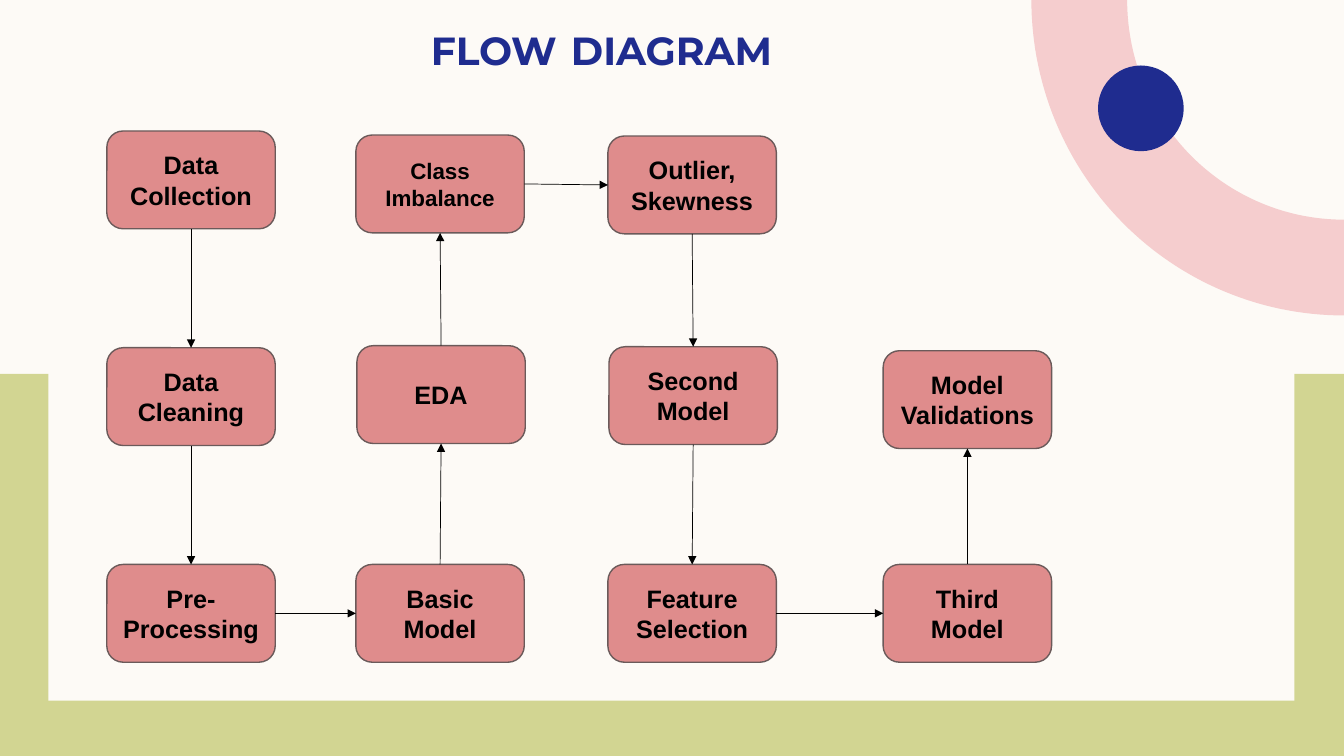
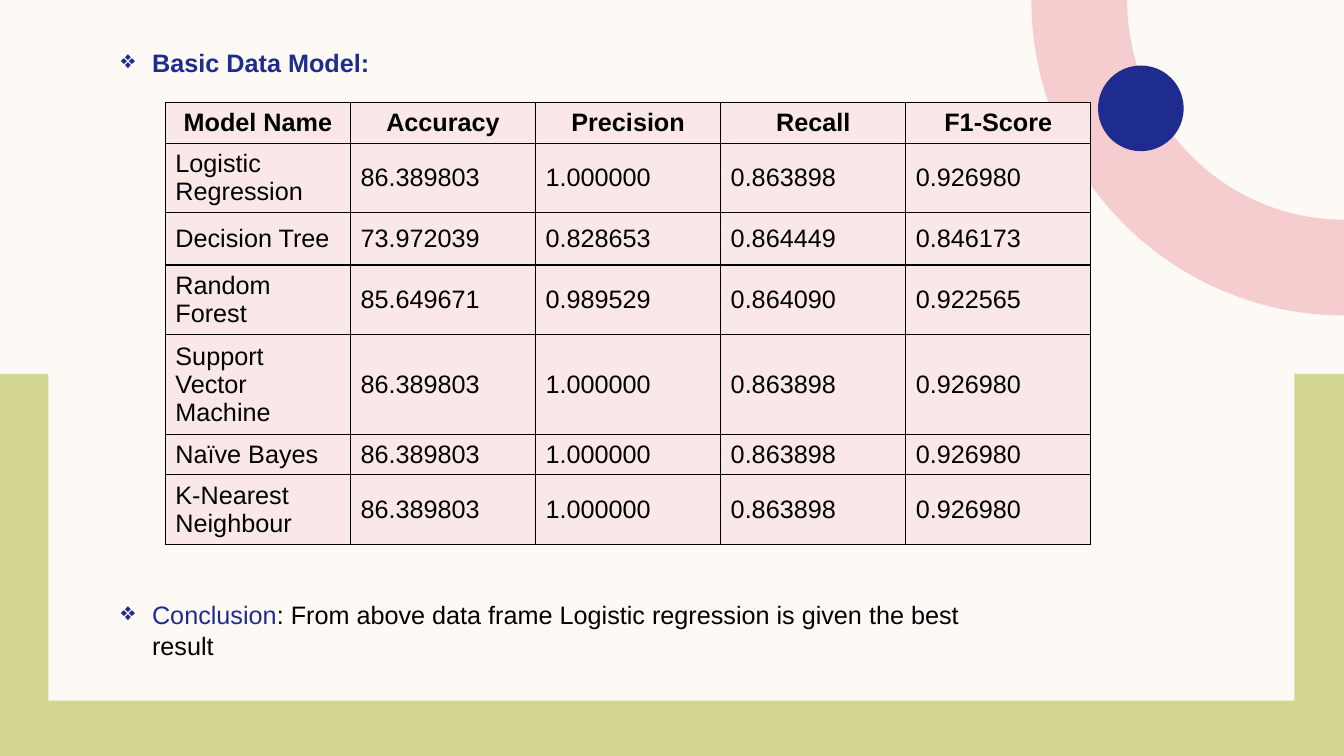
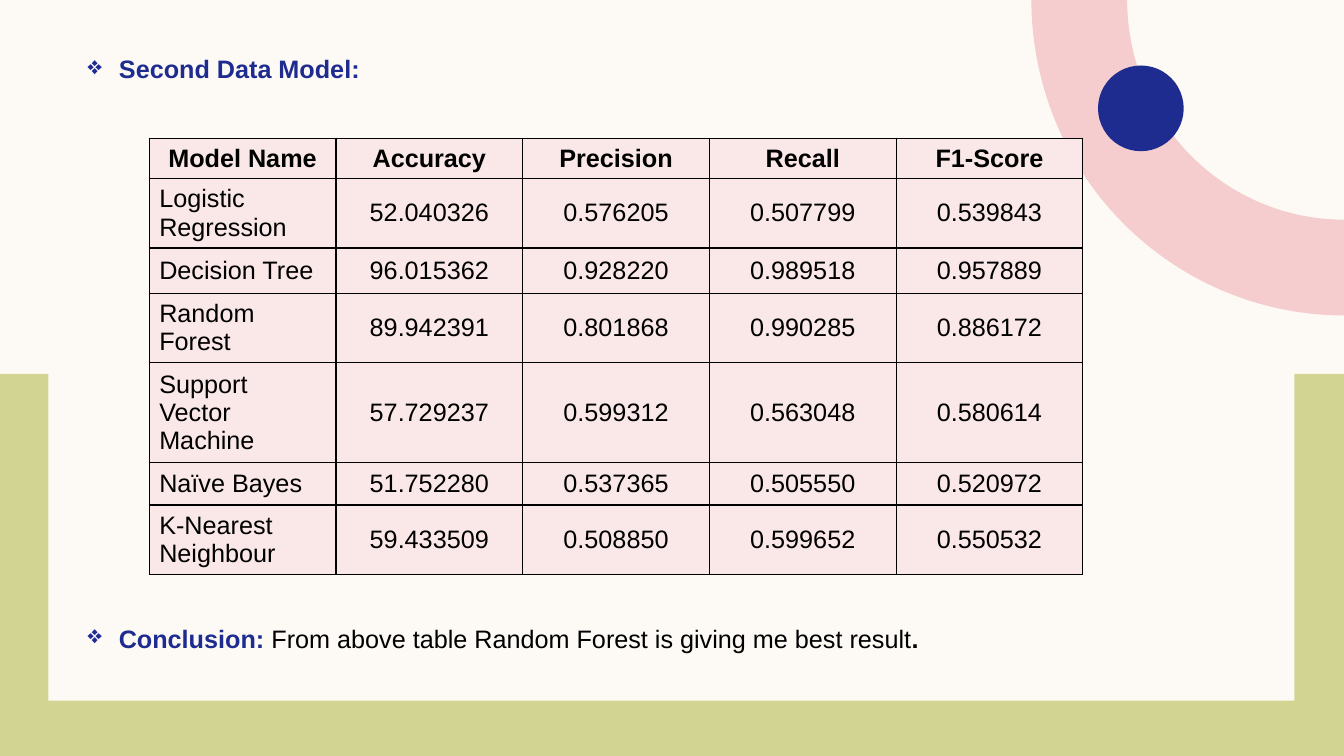
from dataclasses import dataclass
from itertools import pairwise
from math import cos, pi, sin

from lxml import etree
from pptx import Presentation
from pptx import util as u
from pptx.dml.color import RGBColor
from pptx.enum import shapes, text
from pptx.oxml.ns import qn

Inches, Pt = u.Inches, u.Pt
Align, Anchor = text.PP_ALIGN, text.MSO_ANCHOR
Kind = shapes.MSO_SHAPE


@dataclass(frozen=True)
class Theme:
    cream: str = "FDFAF6"
    green: str = "D2D592"
    pink: str = "F5CDCE"
    navy: str = "1F2C8F"
    rose: str = "DF8C8C"
    edge: str = "6B5A5A"
    blush: str = "FAE8E8"
    black: str = "000000"
    head: str = "Montserrat"
    body: str = "Arial"
    big: int = 28
    gap: int = 36
    size: int = 18
    small: int = 16


T = Theme()
WIDE, HIGH = 13.33, 7.5

# Each step: text, left, top, type size
BOX = 1.67, 0.97
STEPS = [
    ("Data Collection", 1.06, 1.3, T.size),
    ("Data Cleaning", 1.06, 3.45, T.size),
    ("Pre-Processing", 1.06, 5.6, T.size),
    ("Basic\nModel", 3.53, 5.6, T.size),
    ("EDA", 3.54, 3.43, T.size),
    ("Class Imbalance", 3.53, 1.34, T.small),
    ("Outlier,\nSkewness", 6.03, 1.35, T.size),
    ("Second\nModel", 6.04, 3.44, T.size),
    ("Feature Selection", 6.03, 5.6, T.size),
    ("Third\nModel", 8.76, 5.6, T.size),
    ("Model Validations", 8.76, 3.48, T.size),
]

COLS = ["Model Name", "Accuracy", "Precision", "Recall", "F1-Score"]
NAMES = ["Logistic Regression", "Decision Tree", "Random Forest",
         "Support Vector Machine", "Naïve Bayes", "K-Nearest Neighbour"]
SAME = ["86.389803", "1.000000", "0.863898", "0.926980"]

# Runs are (text, colour, bold); areas are left, top, width, height
MODELS = [
    dict(
        title="Basic Data Model:", top=(1.1, 0.42, 8.54, 0.4),
        grid=(1.64, 1.02, 9.18), align=Align.LEFT,
        rows=[0.4, 0.69, 0.52, 0.69, 0.99, 0.4, 0.69],
        data=[SAME,
              ["73.972039", "0.828653", "0.864449", "0.846173"],
              ["85.649671", "0.989529", "0.864090", "0.922565"],
              SAME, SAME, SAME],
        end=(1.1, 5.9, 8.71, 0.7),
        note=[("Conclusion", T.navy, False),
              (": From above data frame Logistic regression is given "
               "the best result", T.black, False)]),
    dict(
        title="Second Data Model:", top=(0.77, 0.48, 3.78, 0.4),
        grid=(1.48, 1.37, 9.26), align=Align.CENTER,
        rows=[0.4, 0.69, 0.45, 0.69, 0.99, 0.42, 0.69],
        data=[["52.040326", "0.576205", "0.507799", "0.539843"],
              ["96.015362", "0.928220", "0.989518", "0.957889"],
              ["89.942391", "0.801868", "0.990285", "0.886172"],
              ["57.729237", "0.599312", "0.563048", "0.580614"],
              ["51.752280", "0.537365", "0.505550", "0.520972"],
              ["59.433509", "0.508850", "0.599652", "0.550532"]],
        end=(0.77, 6.13, 9.78, 0.4),
        note=[("Conclusion: ", T.navy, True),
              ("From above table Random Forest is giving me best result",
               T.black, False),
              (".", T.black, True)]),
]


def rgb(code):
    return RGBColor.from_string(code)


def inch(nums):
    return [Inches(n) for n in nums]


def style(run, color=T.black, bold=False, size=T.size, face=T.body):
    font = run.font
    font.name, font.size, font.bold = face, Pt(size), bold
    font.color.rgb = rgb(color)


def place(shape, area):
    shape.left, shape.top, shape.width, shape.height = inch(area)


def paint(shape, fill, edge=None):
    shape.shadow.inherit = False
    shape.fill.solid()
    shape.fill.fore_color.rgb = rgb(fill)
    if edge:
        shape.line.color.rgb = rgb(edge)
        shape.line.width = Pt(1)
    else:
        shape.line.fill.background()


def write(para, runs, **kind):
    for words, color, bold in runs:
        run = para.add_run()
        run.text = words
        style(run, color, bold, **kind)


def bullet(para):
    para.alignment = Align.LEFT
    props = para._p.get_or_add_pPr()
    props.set("marL", str(Inches(0.31)))
    props.set("indent", str(Inches(-0.31)))
    etree.SubElement(props, qn("a:buChar")).set("char", "❖")


def title(slide, area):
    """Place the title and return its empty first paragraph."""
    shape = slide.shapes.title
    place(shape, area)
    frame = shape.text_frame
    frame.word_wrap = True
    frame.auto_size = text.MSO_AUTO_SIZE.NONE
    frame.vertical_anchor = Anchor.MIDDLE
    frame.margin_top = frame.margin_bottom = 0
    return frame.paragraphs[0]


def ring(tree):
    """Draw the quarter ring in the top right corner."""
    turns = [pi / 2 * n / 60 for n in range(61)]

    def arc(wide, high):
        return [(Inches(WIDE - wide * cos(a)), Inches(high * sin(a))) for a in turns]

    dots = arc(3.1, 3.13) + arc(2.15, 2.18)[::-1]
    path = tree.build_freeform(*dots[0])
    path.add_line_segments(dots[1:], close=True)
    return path.convert_to_shape()


def decor(deck, slide):
    """Draw the shared backdrop once and move it to the master."""
    master = deck.slide_master
    master.background.fill.solid()
    master.background.fill.fore_color.rgb = rgb(T.cream)
    tree = slide.shapes
    parts = [
        (tree.add_shape(Kind.RECTANGLE, *inch((0, 3.71, WIDE, HIGH - 3.71))), T.green),
        (tree.add_shape(Kind.RECTANGLE, *inch((0.48, 0.36, 12.36, 6.59))), T.cream),
        (ring(tree), T.pink),
        (tree.add_shape(Kind.OVAL, *inch((10.89, 0.65, 0.85, 0.85))), T.navy),
    ]
    for n, (shape, fill) in enumerate(parts):
        paint(shape, fill)
        shape.element.xpath(".//p:cNvPr")[0].set("id", str(100 + n))
        master.shapes.element.insert(2 + n, shape.element)


def box(slide, words, left, top, size):
    shape = slide.shapes.add_shape(Kind.ROUNDED_RECTANGLE, *inch((left, top, *BOX)))
    paint(shape, T.rose, T.edge)
    frame = shape.text_frame
    frame.word_wrap = True
    frame.vertical_anchor = Anchor.MIDDLE
    frame.text = words
    for para in frame.paragraphs:
        para.alignment = Align.CENTER
        style(para.runs[0], bold=True, size=size)
    return shape


def link(slide, start, end):
    """Join two boxes by an arrow between their facing sides."""
    if abs(end.left - start.left) > start.width:
        sides = 3, 1
    elif end.top > start.top:
        sides = 2, 0
    else:
        sides = 0, 2
    line = slide.shapes.add_connector(shapes.MSO_CONNECTOR.STRAIGHT, 0, 0, 0, 0)
    line.begin_connect(start, sides[0])
    line.end_connect(end, sides[1])
    line.line.color.rgb = rgb(T.black)
    line.line.width = Pt(0.5)
    props = line.element.spPr
    etree.SubElement(props.find(qn("a:ln")), qn("a:tailEnd")).set("type", "triangle")
    etree.SubElement(props, qn("a:effectLst"))


def border(cell):
    props = cell._tc.get_or_add_tcPr()
    for n, side in enumerate("LRTB"):
        line = etree.Element(qn("a:ln" + side), w=str(Pt(1)))
        fill = etree.SubElement(line, qn("a:solidFill"))
        etree.SubElement(fill, qn("a:srgbClr")).set("val", T.black)
        props.insert(n, line)


def table(slide, model):
    left, top, wide = model["grid"]
    rows = [COLS] + [[name, *nums] for name, nums in zip(NAMES, model["data"])]
    area = inch((left, top, wide, sum(model["rows"])))
    grid = slide.shapes.add_table(len(rows), len(COLS), *area).table
    grid.first_row = grid.horz_banding = False
    for col in grid.columns:
        col.width = Inches(wide / len(COLS))
    for r, (row, high) in enumerate(zip(rows, model["rows"])):
        grid.rows[r].height = Inches(high)
        for c, words in enumerate(row):
            cell = grid.cell(r, c)
            cell.text = words
            cell.vertical_anchor = Anchor.MIDDLE
            cell.fill.solid()
            cell.fill.fore_color.rgb = rgb(T.blush)
            border(cell)
            para = cell.text_frame.paragraphs[0]
            if r == 0:
                para.alignment = Align.CENTER
            else:
                para.alignment = model["align"] if c else Align.LEFT
            style(para.runs[0], bold=r == 0)


def flow(slide):
    para = title(slide, (3.54, 0.16, 4.85, 0.58))
    para.alignment = Align.CENTER
    for words, size in (("FLOW", T.big), (" ", T.gap), ("DIAGRAM", T.big)):
        write(para, [(words, T.navy, True)], size=size, face=T.head)
    boxes = [box(slide, *step) for step in STEPS]
    for start, end in pairwise(boxes):
        link(slide, start, end)


def report(slide, model):
    para = title(slide, model["top"])
    bullet(para)
    write(para, [(model["title"], T.navy, True)])
    table(slide, model)
    note = slide.shapes.add_textbox(*inch(model["end"])).text_frame
    note.word_wrap = True
    bullet(note.paragraphs[0])
    write(note.paragraphs[0], model["note"])


def main():
    deck = Presentation()
    deck.slide_width, deck.slide_height = inch((WIDE, HIGH))
    plain = deck.slide_layouts[5]
    first = deck.slides.add_slide(plain)
    decor(deck, first)
    flow(first)
    for model in MODELS:
        report(deck.slides.add_slide(plain), model)
    deck.save("out.pptx")


if __name__ == "__main__":
    main()
